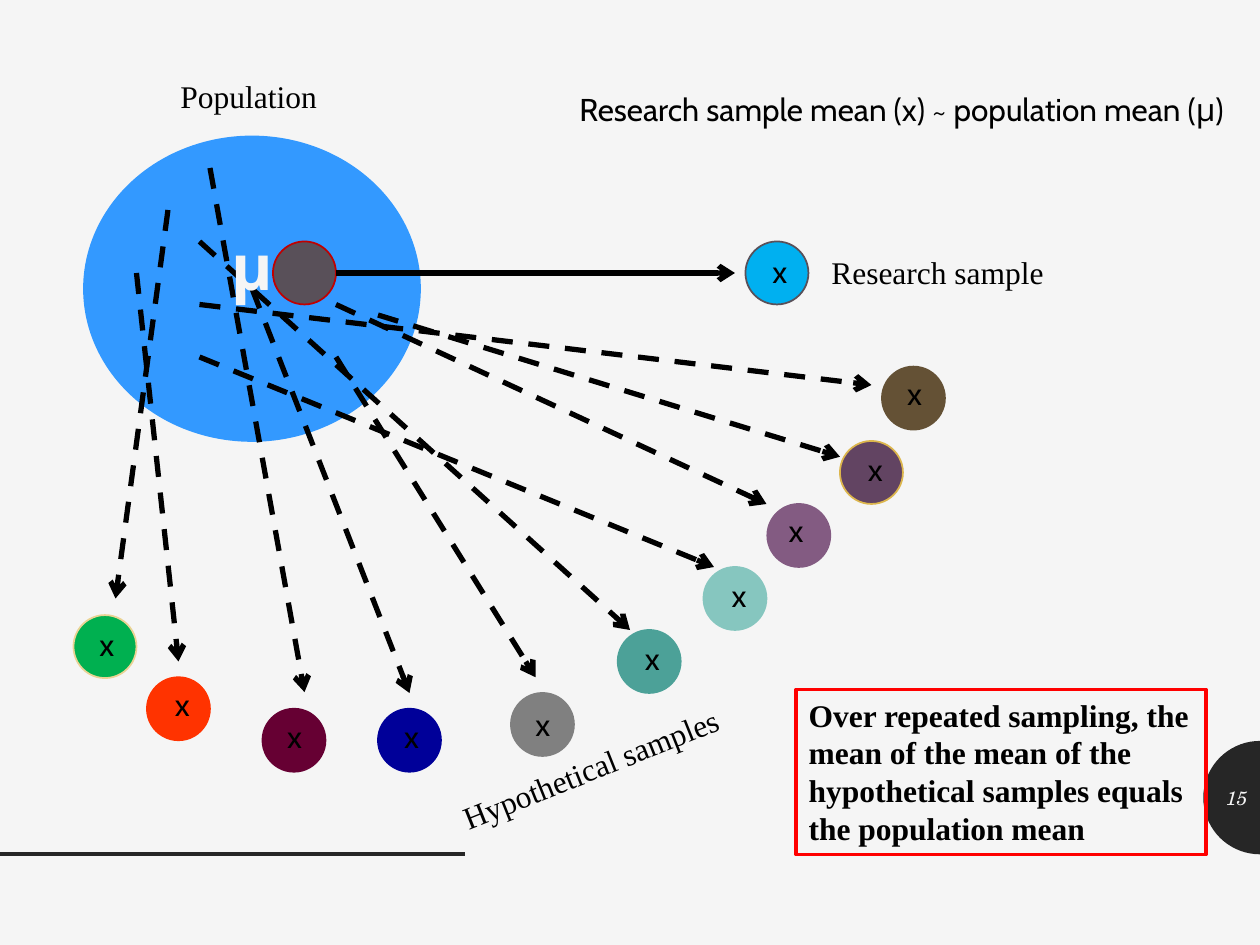
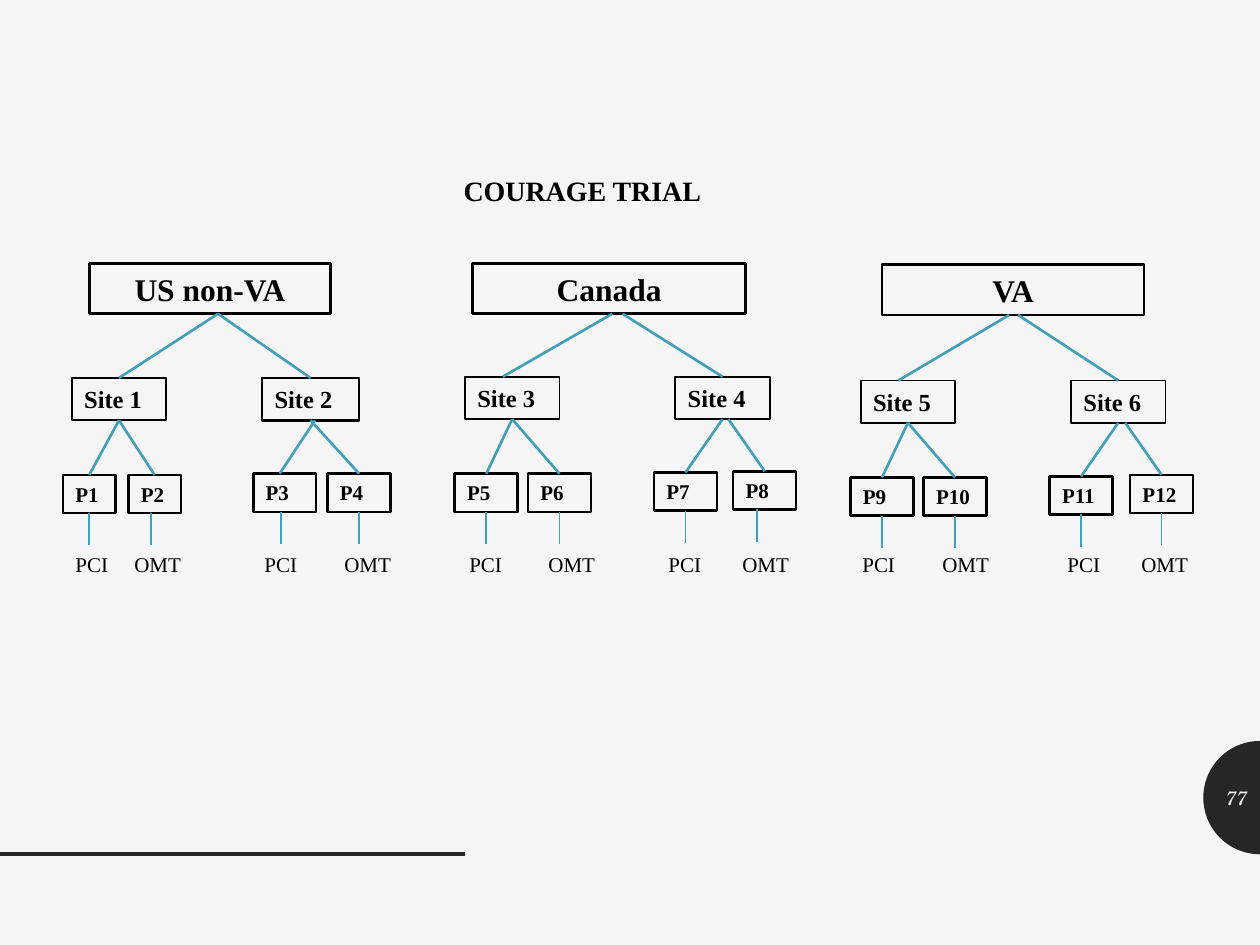
import math

from lxml import etree
from pptx import Presentation
from pptx import util as u
from pptx.dml.color import RGBColor
from pptx.enum import dml, shapes, text
from pptx.oxml.ns import qn

Pt = u.Pt
COLORS = {
    "paper": "F5F5F5", "frame": "262626", "ink": "000000", "alert": "FF0000",
    "branch": "439EB7", "population": "3399FF", "drawn": "595059",
    "drawn edge": "C00000", "research": "00B0F0", "brown": "645135",
    "plum": "624462", "gold": "DCB64D", "mauve": "835B82", "mint": "86C6BF",
    "teal": "4CA198", "gray": "808080", "navy": "000099", "wine": "660033",
    "orange": "FF3300", "green": "00B050", "sand": "EAD394",
}
SERIF, SANS, NUMERAL = "Times New Roman", "Cabin", "TeX Gyre Schola"

SAMPLES = [
    ((504, 209.5), "brown", "brown", (511.2, 210.2), (114, 174), (498, 220)),
    ((480, 252), "plum", "gold", (488.9, 253.4), (216, 180), (480, 261)),
    ((438.5, 288), "mauve", "mauve", (443.5, 288.7), (192, 174), (438, 288)),
    ((402, 324), "mint", "mint", (411, 325.4), (114, 204), (408, 324)),
    ((353, 360), "teal", "teal", (361.4, 361.4), (114, 138), (360, 360)),
    ((292, 396), "gray", "gray", (298.8, 399.6), (192, 204), (306, 387)),
    ((216, 405), "navy", "navy", (223.9, 406), (144, 165), (234, 396)),
    ((150, 405), "wine", "wine", (157, 406), (120, 96), (174, 395.5)),
    ((84, 387), "orange", "orange", (92.9, 388), (78, 156), (102, 378)),
    ((42, 351.5), "green", "sand", (49.7, 353.5), (96, 120), (66, 342)),
]

# REGIONS


def rgb(name):
    return RGBColor.from_string(COLORS[name])


def write(frame, content, size=18, font=SERIF, color="ink", bold=False,
          italic=False, align="LEFT", anchor="TOP", grow=True, tabs=()):
    frame.word_wrap = True
    frame.auto_size = (text.MSO_AUTO_SIZE.SHAPE_TO_FIT_TEXT if grow
                       else text.MSO_AUTO_SIZE.NONE)
    frame.vertical_anchor = text.MSO_ANCHOR[anchor]
    paragraph = frame.paragraphs[0]
    paragraph.alignment = text.PP_ALIGN[align]
    if tabs:
        stops = etree.SubElement(paragraph._p.get_or_add_pPr(), qn("a:tabLst"))
        for stop in tabs:
            etree.SubElement(stops, qn("a:tab"), pos=str(Pt(stop)), algn="l")
    run = paragraph.add_run()
    run.text = content
    run.font.size = Pt(size)
    run.font.name = font
    run.font.bold = bold
    run.font.italic = italic
    run.font.color.rgb = rgb(color)


class Deck:
    def __init__(self):
        self.prs = Presentation()
        self.prs.slide_width, self.prs.slide_height = Pt(720), Pt(540)
        fill = self.prs.slide_master.background.fill
        fill.solid()
        fill.fore_color.rgb = rgb("paper")
        self.slide = None

    def new_slide(self, number):
        self.slide = self.prs.slides.add_slide(self.prs.slide_layouts[6])
        self.half_disc(720, 455.8, 32.4)
        self.line((0, 488), (265.7, 488), "frame", 2)
        self.label(number, 687.6, 441.4, 32.4, 28.8, size=11, font=NUMERAL,
                   color="paper", italic=True, align="RIGHT",
                   anchor="MIDDLE", grow=False)

    def paint(self, shape, fill, edge, weight):
        shape.shadow.inherit = False
        if fill:
            shape.fill.solid()
            shape.fill.fore_color.rgb = rgb(fill)
        else:
            shape.fill.background()
        if edge:
            shape.line.color.rgb = rgb(edge)
            shape.line.width = Pt(weight)
        else:
            shape.line.fill.background()
        return shape

    def half_disc(self, x, y, radius):
        angles = [math.radians(a) for a in range(90, 271, 5)]
        rim = [(Pt(x + radius * math.cos(a)), Pt(y + radius * math.sin(a)))
               for a in angles]
        builder = self.slide.shapes.build_freeform(*rim[0])
        builder.add_line_segments(rim[1:], close=True)
        self.paint(builder.convert_to_shape(), "frame", None, 0)

    def ellipse(self, left, top, width, height, fill, edge):
        shape = self.slide.shapes.add_shape(
            shapes.MSO_SHAPE.OVAL, Pt(left), Pt(top), Pt(width), Pt(height))
        return self.paint(shape, fill, edge, 1)

    def box(self, content, left, top, width, height, edge="ink", weight=1.5,
            **style):
        shape = self.slide.shapes.add_shape(
            shapes.MSO_SHAPE.RECTANGLE, Pt(left), Pt(top), Pt(width), Pt(height))
        self.paint(shape, None, edge, weight)
        write(shape.text_frame, content, bold=True, **style)
        return shape

    def label(self, content, left, top, width, height=28.8, rotation=0, **style):
        shape = self.slide.shapes.add_textbox(
            Pt(left), Pt(top), Pt(width), Pt(height))
        shape.rotation = rotation
        write(shape.text_frame, content, **style)

    def line(self, start, end, color, weight, dashed=False, arrow=False):
        ends = [p if isinstance(p, tuple) else (0, 0) for p in (start, end)]
        link = self.slide.shapes.add_connector(
            shapes.MSO_CONNECTOR.STRAIGHT, *(Pt(v) for p in ends for v in p))
        if not isinstance(start, tuple):
            link.begin_connect(start, 2)
        if not isinstance(end, tuple):
            link.end_connect(end, 0)
        link.line.color.rgb = rgb(color)
        link.line.width = Pt(weight)
        if dashed:
            link.line.dash_style = dml.MSO_LINE.DASH
        properties = link._element.spPr
        if arrow:
            etree.SubElement(properties.find(qn("a:ln")), qn("a:tailEnd"),
                             type="arrow")
        etree.SubElement(properties, qn("a:effectLst"))


def sampling_slide(deck):
    deck.new_slide("15")
    deck.ellipse(48, 78, 192, 174, "population", "population")
    deck.label("Population", 96, 40.3, 108)
    deck.ellipse(156, 138, 36, 36, "drawn", "drawn edge")
    deck.ellipse(426, 138, 36, 36, "research", "drawn")
    deck.line((192, 156), (420, 156), "ink", 3, arrow=True)
    deck.label("x", 434.2, 140.4, 30.2, font=SANS)
    for place, fill, edge, mark, start, end in SAMPLES:
        deck.ellipse(*place, 36, 36, fill, edge)
        deck.line(start, end, "ink", 3, dashed=True, arrow=True)
        deck.label("x", *mark, 30.2, font=SANS)
    deck.label("μ", 125.3, 126.7, 30.2, 51.1, size=36, font=SANS,
               color="paper", bold=True)
    deck.label("Research sample", 468, 141.1, 150)
    deck.label("Hypothetical samples", 250.5, 414, 228, rotation=338.2)
    deck.box("Over repeated sampling, the mean of the mean of the hypothetical "
             "samples equals the population mean", 455, 394, 234, 94.3,
             edge="alert", weight=2.25)
    deck.label("Research sample mean (x) ~ population mean (μ)",
               324, 48, 384, font=SANS)


REGIONS = [
    ("US non-VA", 51, 150.5, 138, [
        ("Site 1", 41, 216, 54, 1, 124.6, None, [
            ("P1", 36, 271.4, 30, None, None, None),
            ("P2", 73.4, 271.4, 30, None, None, 86.4)]),
        ("Site 2", 149.8, 216, 55.4, 1.5, 124.6, None, [
            ("P3", 144.7, 270.7, 36, 180, 159.8, 160.6),
            ("P4", 187.2, 270.7, 36, None, None, None)])]),
    ("Canada", 270, 150.5, 156.2, [
        ("Site 3", 265.7, 215.3, 54, 1, 349.9, 287.3, [
            ("P5", 259.9, 270.7, 36, None, None, None),
            ("P6", 301.7, 270.7, 36, None, None, None)]),
        ("Site 4", 385.9, 215.3, 54, 1, 355.7, None, [
            ("P7", 373.7, 270, 36, None, None, None),
            ("P8", 419, 269.3, 36, 416.2, None, 432.7)])]),
    ("VA", 504, 151.2, 149.8, [
        ("Site 5", 491.8, 217.4, 54, 1, 576.7, 513.4, [
            ("P9", 486, 272.9, 36, None, None, None),
            ("P10", 527.8, 272.9, 36, None, None, None)]),
        ("Site 6", 612, 217.4, 54, 1, 581.8, None, [
            ("P11", 599.8, 272.2, 36, None, None, None),
            ("P12", 645.8, 271.4, 36, 643, None, None)])]),
]
ARM_TABS = (33.7, 108, 153.7, 225.1, 270.3, 338.9, 381.1, 449.7, 495.4,
            566.9, 609.1)
REGION_HEIGHT, SITE_HEIGHT, PATIENT_HEIGHT, STEM = 28.8, 24.2, 21.8, 18.4


def joint(x, y, shape):
    return shape if x is None else (x, y)


def trial_slide(deck):
    deck.new_slide("77")
    deck.label("COURAGE TRIAL", 257.8, 95.8, 166.3, 26.6, size=16, bold=True)
    for region, left, top, width, sites in REGIONS:
        deck.box(region, left, top, width, REGION_HEIGHT, align="CENTER")
        fork_y = top + REGION_HEIGHT
        for site, left, top, width, weight, fork_x, entry_x, patients in sites:
            site_box = deck.box(site, left, top, width, SITE_HEIGHT,
                                weight=weight, size=14)
            deck.line((fork_x, fork_y), joint(entry_x, top, site_box),
                      "branch", 1.5)
            exit_y = top + SITE_HEIGHT
            for patient, left, top, width, exit_x, entry_x, stem_x in patients:
                patient_box = deck.box(patient, left, top, width,
                                       PATIENT_HEIGHT, size=12)
                deck.line(joint(exit_x, exit_y, site_box),
                          joint(entry_x, top, patient_box), "branch", 1.5)
                bottom = top + PATIENT_HEIGHT
                deck.line(joint(stem_x, bottom, patient_box),
                          (stem_x or left + width / 2, bottom + STEM),
                          "branch", 1)
    deck.label("\t".join(["PCI", "OMT"] * 6), 36, 311.8, 654.5, 21.6,
               size=12, tabs=ARM_TABS)


def main():
    deck = Deck()
    sampling_slide(deck)
    trial_slide(deck)
    deck.prs.save("out.pptx")


if __name__ == "__main__":
    main()
